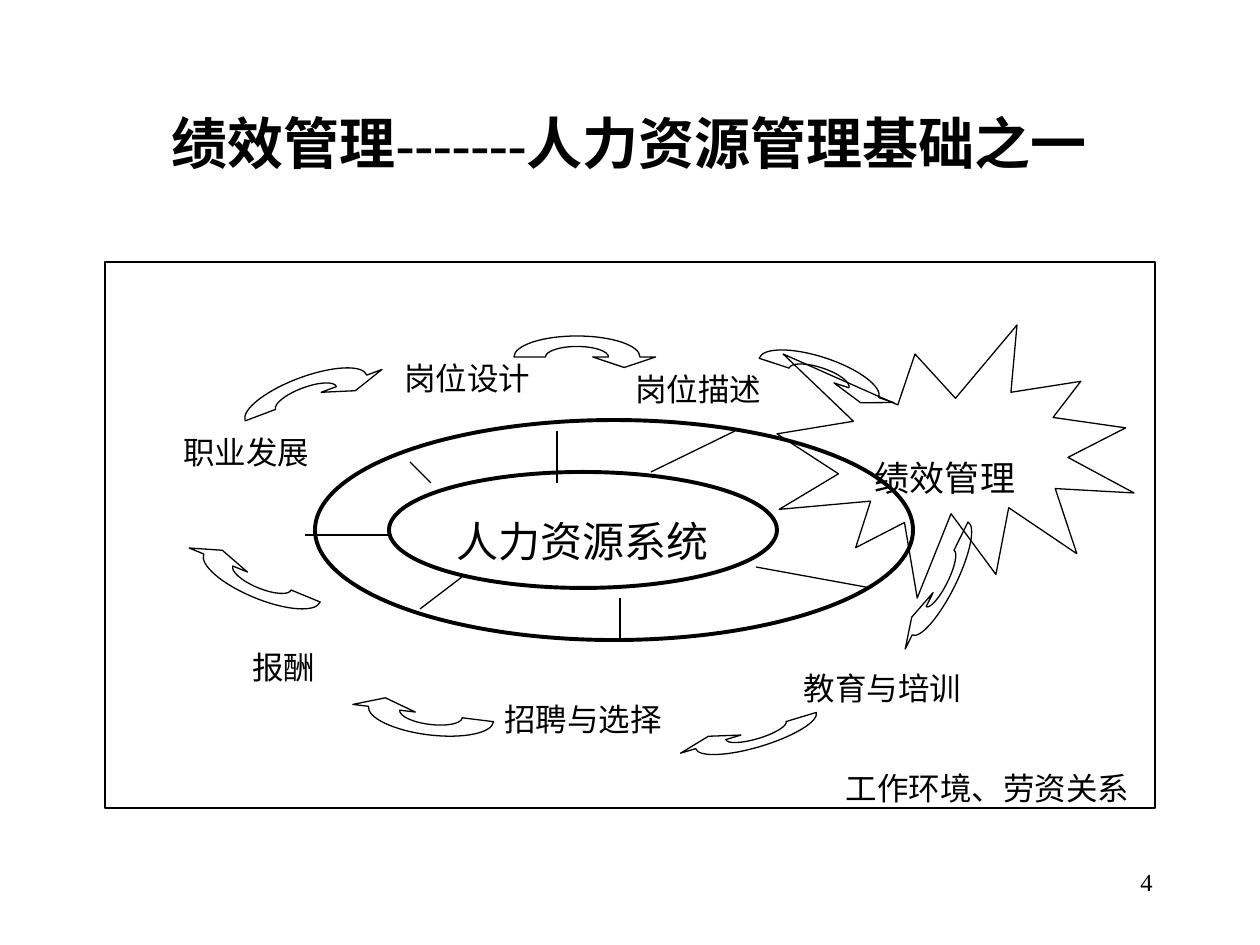
from lxml import etree
from pptx import Presentation
from pptx import util as u
from pptx.dml.color import RGBColor
from pptx.enum import shapes, text
from pptx.oxml import ns

PX = 914400 / 126
FONT = "Times New Roman"
BLACK = "000000"

LABELS = [
    ("职业发展", 52, 165, 179),
    ("岗位设计", 273, 91, 179),
    ("岗位描述", 504, 102, 179),
    ("报酬", 126, 380, 105),
    ("招聘与选择", 378, 432, 200),
    ("教育与培训", 683, 401, 189),
    ("工作环境、劳资关系", 725, 501, 315),
]
SPOKES = [
    (200, 273, 283, 273),
    (305, 200, 326, 221),
    (452, 169, 452, 221),
    (546, 210, 630, 169),
    (315, 347, 357, 315),
    (515, 336, 515, 378),
    (651, 305, 766, 326),
]
ARROWS = [
    (409, 74, 126, 42, 0),
    (136, 115, 130, 42, 339.4),
    (651, 95, 126, 42, 18.2),
    (94, 295, 126, 42, 202.4),
    (263, 431, 126, 42, 187),
    (588, 452, 126, 33, 163.3),
    (772, 300, 126, 33, 116.3),
]
ARROW_PATH = [
    ("moveTo", [(750, 500)]),
    ("cubicBezTo", [(750, 362), (638, 250), (500, 250)]),
    ("cubicBezTo", [(362, 250), (250, 362), (250, 500)]),
    ("lnTo", [(0, 500)]),
    ("cubicBezTo", [(0, 224), (224, 0), (500, 0)]),
    ("cubicBezTo", [(776, 0), (1000, 224), (1000, 500)]),
    ("lnTo", [(1125, 500)]),
    ("lnTo", [(875, 750)]),
    ("lnTo", [(625, 500)]),
    ("close", []),
]


def emu(*lengths):
    """Turn px lengths into EMU."""
    return [u.Emu(round(n * PX)) for n in lengths]


def color(value):
    """Turn a hex string into a colour."""
    return RGBColor.from_string(value)


def write(sp, words, size, align, anchor, bold=False, space=0):
    """Put one formatted paragraph into a shape."""
    tf = sp.text_frame
    for name, value in {"word_wrap": True, "vertical_anchor": anchor}.items():
        setattr(tf, name, value)
    p = tf.paragraphs[0]
    for name, value in {"alignment": align, "space_before": u.Pt(space)}.items():
        setattr(p, name, value)
    r = p.add_run()
    r.text = words
    for name, value in {"name": FONT, "size": u.Pt(size), "bold": bold}.items():
        setattr(r.font, name, value)
    r.font.color.rgb = color(BLACK)


def label(s, words, x, y, w, h, size):
    """Add a centred label that grows with its text."""
    sp = s.shapes.add_textbox(*emu(x, y, w, h))
    sp.text_frame.auto_size = text.MSO_AUTO_SIZE.SHAPE_TO_FIT_TEXT
    write(sp, words, size, text.PP_ALIGN.CENTER, text.MSO_ANCHOR.MIDDLE,
          space=size * 0.625)


def outline(sp, weight=0.75):
    """Give a shape a black line without fill or shadow."""
    sp.shadow.inherit = False
    sp.fill.background()
    sp.line.color.rgb = color(BLACK)
    sp.line.width = u.Pt(weight)


def preset(s, kind, x, y, w, h, weight=0.75):
    """Add an outlined preset shape."""
    outline(s.shapes.add_shape(kind, *emu(x, y, w, h)), weight)


def spoke(s, x1, y1, x2, y2):
    """Add a thin straight line."""
    cx = s.shapes.add_connector(shapes.MSO_CONNECTOR.STRAIGHT, *emu(x1, y1, x2, y2))
    cx.line.color.rgb = color(BLACK)
    cx.line.width = u.Pt(0.75)
    etree.SubElement(cx._element.spPr, ns.qn("a:effectLst"))


def curved_arrow(s, x, y, w, h, angle):
    """Add a half-ring arrow turned about the middle of its box."""
    builder = s.shapes.build_freeform(0, 0, scale=1.0)
    builder.add_line_segments([emu(w, 0), emu(w, h)], close=True)
    sp = builder.convert_to_shape()
    sp.left, sp.top, sp.width, sp.height = emu(x, y, w, h)
    sp.rotation = angle
    outline(sp)
    track = sp._element.spPr.find(".//" + ns.qn("a:path"))
    for step in list(track):
        track.remove(step)
    track.set("w", "1000")
    track.set("h", "1000")
    for command, points in ARROW_PATH:
        step = etree.SubElement(track, ns.qn("a:" + command))
        for px, py in points:
            etree.SubElement(step, ns.qn("a:pt"), x=str(px), y=str(py))


def title(s, x, y, w, h):
    """Place and format the title."""
    sp = s.shapes.title
    sp.left, sp.top, sp.width, sp.height = emu(x, y, w, h)
    write(sp, "绩效管理-------人力资源管理基础之一", 32,
          text.PP_ALIGN.CENTER, text.MSO_ANCHOR.MIDDLE, bold=True)


def system_cycle(s, x, y, w, h):
    """Draw the framed cycle around the human resources system."""
    kinds = shapes.MSO_SHAPE
    preset(s, kinds.OVAL, x + 210, y + 158, 598, 220, 2.25)
    preset(s, kinds.OVAL, x + 284, y + 210, 388, 116, 2.25)
    label(s, "人力资源系统", x + 336, y + 247, 283, 63, 24)
    for x1, y1, x2, y2 in SPOKES:
        spoke(s, x + x1, y + y1, x + x2, y + y2)
    label(s, "绩效管理", x + 756, y + 188, 168, 55, 20)
    preset(s, kinds.EXPLOSION1, x + 672, y + 63, 357, 273)
    for words, dx, dy, width in LABELS:
        label(s, words, x + dx, y + dy, width, 50, 18)
    for dx, dy, *shape in ARROWS:
        curved_arrow(s, x + dx, y + dy, *shape)
    preset(s, kinds.RECTANGLE, x, y, w, h)


def page_number(s, x, y, w, h):
    """Add the page number."""
    sp = s.shapes.add_textbox(*emu(x, y, w, h))
    write(sp, "4", 14, text.PP_ALIGN.RIGHT, text.MSO_ANCHOR.TOP)


def main():
    """Build and save the slide."""
    prs = Presentation()
    prs.slide_width, prs.slide_height = emu(1260, 945)
    s = prs.slides.add_slide(prs.slide_layouts[5])
    title(s, 94, 84, 1071, 116)
    system_cycle(s, 105, 262, 1050, 546)
    page_number(s, 903, 861, 262, 63)
    prs.save("out.pptx")


if __name__ == "__main__":
    main()
